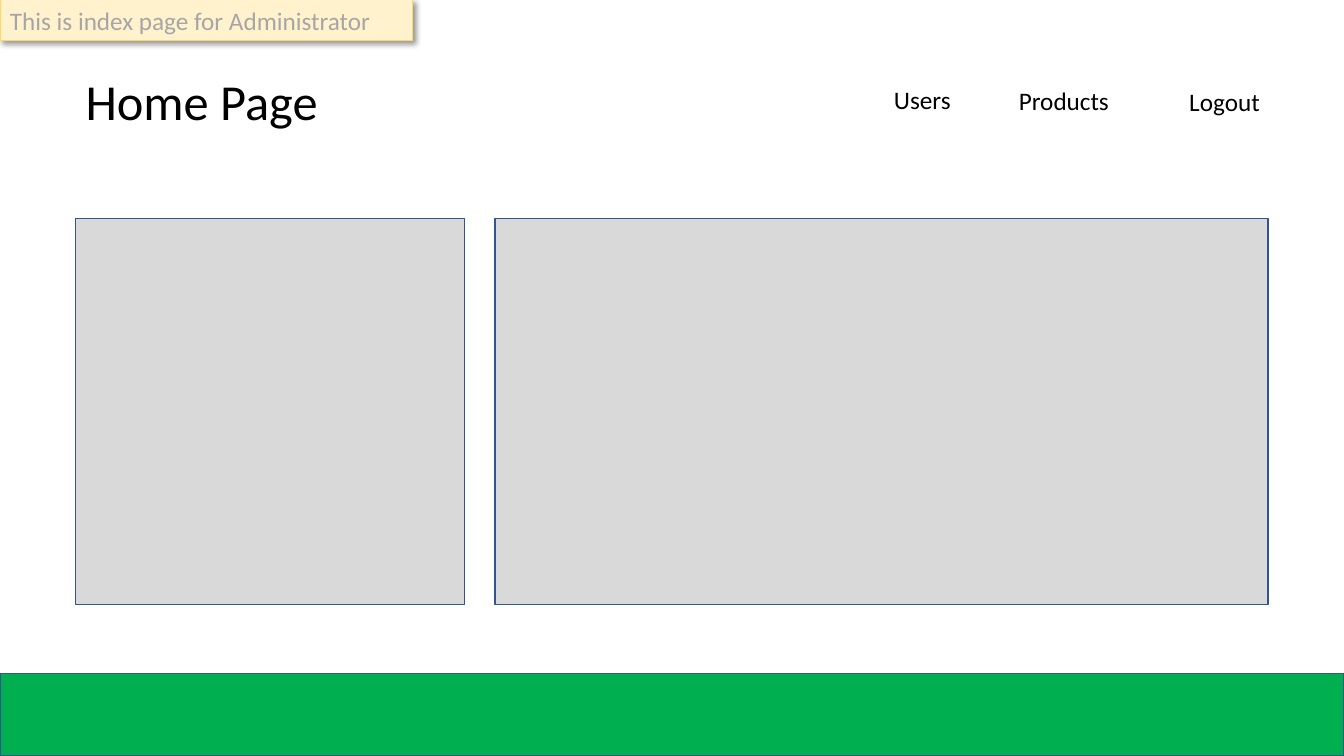
"""Build the administrator home page wireframe slide."""
from dataclasses import dataclass

from lxml.etree import SubElement
from pptx import Presentation
from pptx.dml.color import RGBColor
from pptx.enum.shapes import MSO_SHAPE
from pptx.enum.text import MSO_ANCHOR, MSO_AUTO_SIZE, PP_ALIGN
from pptx.oxml.ns import qn
from pptx.shapes.autoshape import Shape
from pptx.slide import Slide
from pptx.util import Pt

COLORS = {
    "text": "000000",
    "note_text": "A6A6A6",
    "note_fill": "FFF2CC",
    "note_line": "FFD966",
    "panel": "D9D9D9",
    "outline": "325491",
    "footer": "00B050",
    "shadow": "000000",
}
SLIDE_WIDTH, SLIDE_HEIGHT = 960, 540
MARGIN = 54
PANEL_TOP, PANEL_HEIGHT = 156.24, 275.76
FOOTER_HEIGHT = 59.04
FRAME_FORMAT = {
    "word_wrap": True,
    "auto_size": MSO_AUTO_SIZE.SHAPE_TO_FIT_TEXT,
    "vertical_anchor": MSO_ANCHOR.TOP,
}


@dataclass(frozen=True)
class Label:
    text: str
    left: float
    top: float
    width: float
    height: float = 28.8
    size: float = 18


@dataclass(frozen=True)
class Box:
    left: float
    top: float
    width: float
    height: float
    fill: str
    line: str = "outline"
    line_width: float = 1


LABELS = [
    Label("Home Page", MARGIN, 46.8, 316.08, 51.12, 36),
    Label("Users", 631.44, 56.88, 102.96),
    Label("Products", 720.72, 57.6, 102.96),
    Label("Logout", 842.4, 58.32, 102.96),
]
BOXES = [
    Box(MARGIN, PANEL_TOP, 277.92, PANEL_HEIGHT, "panel"),
    Box(353.52, PANEL_TOP, 552.24, PANEL_HEIGHT, "panel"),
    Box(0, SLIDE_HEIGHT - FOOTER_HEIGHT, SLIDE_WIDTH, FOOTER_HEIGHT, "footer"),
]
NOTE = Box(0, 0, 294.48, 28.8, "note_fill", "note_line", 0.75)


def rgb(name: str) -> RGBColor:
    return RGBColor.from_string(COLORS[name])


def write_text(shape: Shape, text: str, size: float, color: str) -> None:
    frame = shape.text_frame
    for name, value in FRAME_FORMAT.items():
        setattr(frame, name, value)
    paragraph = frame.paragraphs[0]
    paragraph.alignment = PP_ALIGN.LEFT
    run = paragraph.add_run()
    run.text = text
    for name, value in {"name": "Calibri", "size": Pt(size)}.items():
        setattr(run.font, name, value)
    run.font.color.rgb = rgb(color)


def draw_label(slide: Slide, label: Label) -> None:
    bounds = (label.left, label.top, label.width, label.height)
    shape = slide.shapes.add_textbox(*map(Pt, bounds))
    write_text(shape, label.text, label.size, "text")


def draw_box(slide: Slide, box: Box) -> Shape:
    bounds = (box.left, box.top, box.width, box.height)
    shape = slide.shapes.add_shape(MSO_SHAPE.RECTANGLE, *map(Pt, bounds))
    shape.fill.solid()
    shape.fill.fore_color.rgb = rgb(box.fill)
    shape.line.color.rgb = rgb(box.line)
    shape.line.width = Pt(box.line_width)
    shape.shadow.inherit = False
    return shape


def cast_shadow(shape: Shape) -> None:
    effects = shape.element.spPr.find(qn("a:effectLst"))
    shadow = SubElement(
        effects,
        qn("a:outerShdw"),
        {
            "blurRad": str(Pt(4)),
            "dist": str(Pt(3)),
            "dir": str(45 * 60000),
            "algn": "tl",
            "rotWithShape": "0",
        },
    )
    color = SubElement(shadow, qn("a:srgbClr"), val=COLORS["shadow"])
    SubElement(color, qn("a:alpha"), val="40000")


def main() -> None:
    presentation = Presentation()
    presentation.slide_width = Pt(SLIDE_WIDTH)
    presentation.slide_height = Pt(SLIDE_HEIGHT)
    slide = presentation.slides.add_slide(presentation.slide_layouts[6])
    for label in LABELS:
        draw_label(slide, label)
    for box in BOXES:
        draw_box(slide, box)
    note = draw_box(slide, NOTE)
    cast_shadow(note)
    write_text(note, "This is index page for Administrator", 18, "note_text")
    presentation.save("out.pptx")


if __name__ == "__main__":
    main()
